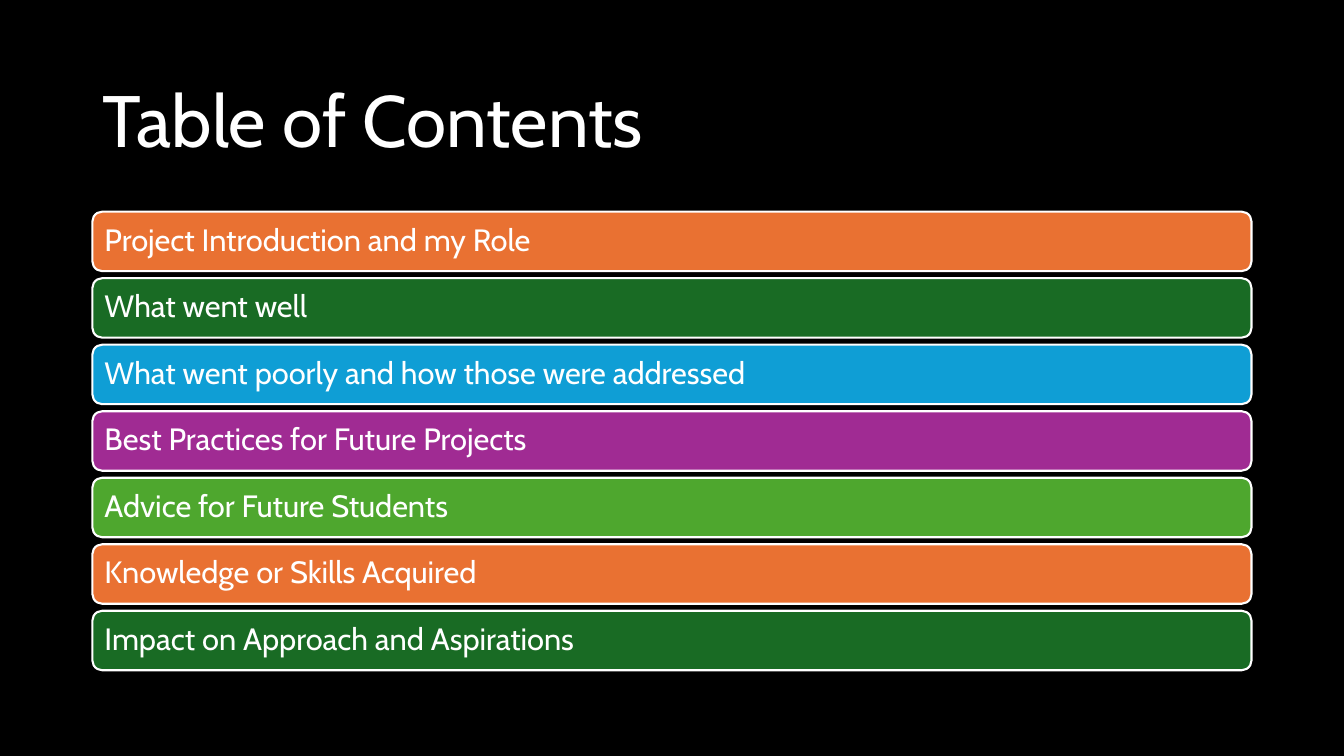
from itertools import cycle

from pptx import Presentation
from pptx.dml.color import RGBColor
from pptx.enum.shapes import MSO_SHAPE as Shape
from pptx.enum.text import MSO_ANCHOR as Anchor, PP_ALIGN as Align
from pptx.util import Pt

FONT = "Cabin"
WHITE = "FFFFFF"
BLACK = "000000"
BAR_COLORS = ["E97132", "196B24", "0F9ED5", "A02B93", "4EA72E"]
TOPICS = [
    "Project Introduction and my Role",
    "What went well",
    "What went poorly and how those were addressed",
    "Best Practices for Future Projects",
    "Advice for Future Students",
    "Knowledge or Skills Acquired",
    "Impact on Approach and Aspirations",
]


def color(hex_string):
    return RGBColor.from_string(hex_string)


def write_line(text_frame, text, size):
    """Fill the frame with one left-aligned, vertically centred line."""
    text_frame.text = text
    text_frame.word_wrap = True
    text_frame.vertical_anchor = Anchor.MIDDLE
    paragraph = text_frame.paragraphs[0]
    paragraph.alignment = Align.LEFT
    paragraph.line_spacing = 0.9
    paragraph.font.name = FONT
    paragraph.font.size = Pt(size)
    paragraph.font.color.rgb = color(WHITE)


def place_title(slide, text, left, top, width, height):
    title = slide.shapes.title
    title.left, title.top = Pt(left), Pt(top)
    title.width, title.height = Pt(width), Pt(height)
    write_line(title.text_frame, text, 52)


def add_topic_bar(slide, text, fill, left, top, width, height):
    bar = slide.shapes.add_shape(
        Shape.ROUNDED_RECTANGLE, Pt(left), Pt(top), Pt(width), Pt(height))
    bar.shadow.inherit = False
    bar.fill.solid()
    bar.fill.fore_color.rgb = color(fill)
    bar.line.color.rgb = color(WHITE)
    bar.line.width = Pt(1.5)
    text_frame = bar.text_frame
    text_frame.margin_left = text_frame.margin_right = Pt(6.6)
    text_frame.margin_top = text_frame.margin_bottom = Pt(4)
    write_line(text_frame, text, 22)


def add_topic_list(slide, topics, left, top, width, height, gap):
    """Stack equal bars down the box, cycling through the bar colours."""
    bar_height = (height + gap) / len(topics) - gap
    for index, (topic, fill) in enumerate(zip(topics, cycle(BAR_COLORS))):
        bar_top = top + index * (bar_height + gap)
        add_topic_bar(slide, topic, fill, left, bar_top, width, bar_height)


def build_contents_slide(presentation):
    title_only = presentation.slide_layouts[5]
    slide = presentation.slides.add_slide(title_only)
    slide.background.fill.solid()
    slide.background.fill.fore_color.rgb = color(BLACK)
    place_title(slide, "Table of Contents", 66, 44, 828, 89)
    add_topic_list(slide, TOPICS, 66, 151.2, 828, 327.6, gap=5)


def main():
    presentation = Presentation()
    presentation.slide_width = Pt(960)
    presentation.slide_height = Pt(540)
    build_contents_slide(presentation)
    presentation.save("out.pptx")


if __name__ == "__main__":
    main()
